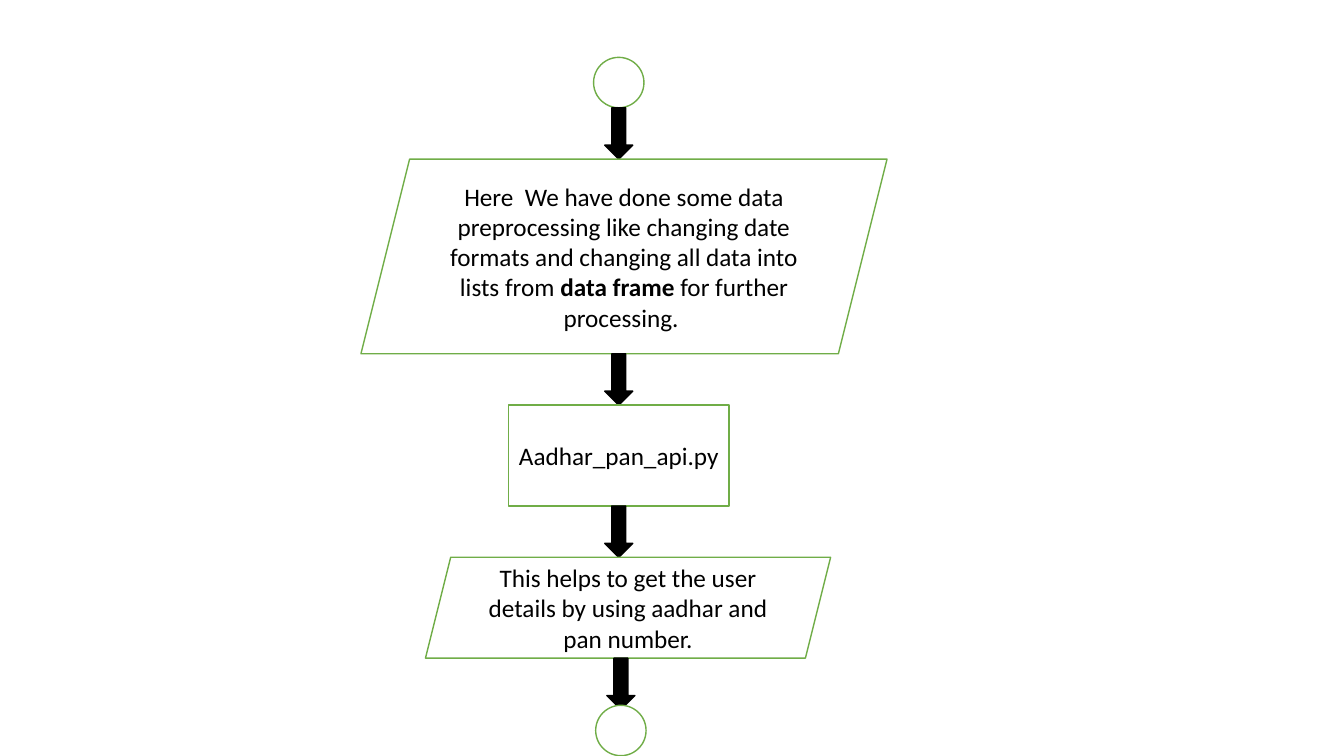
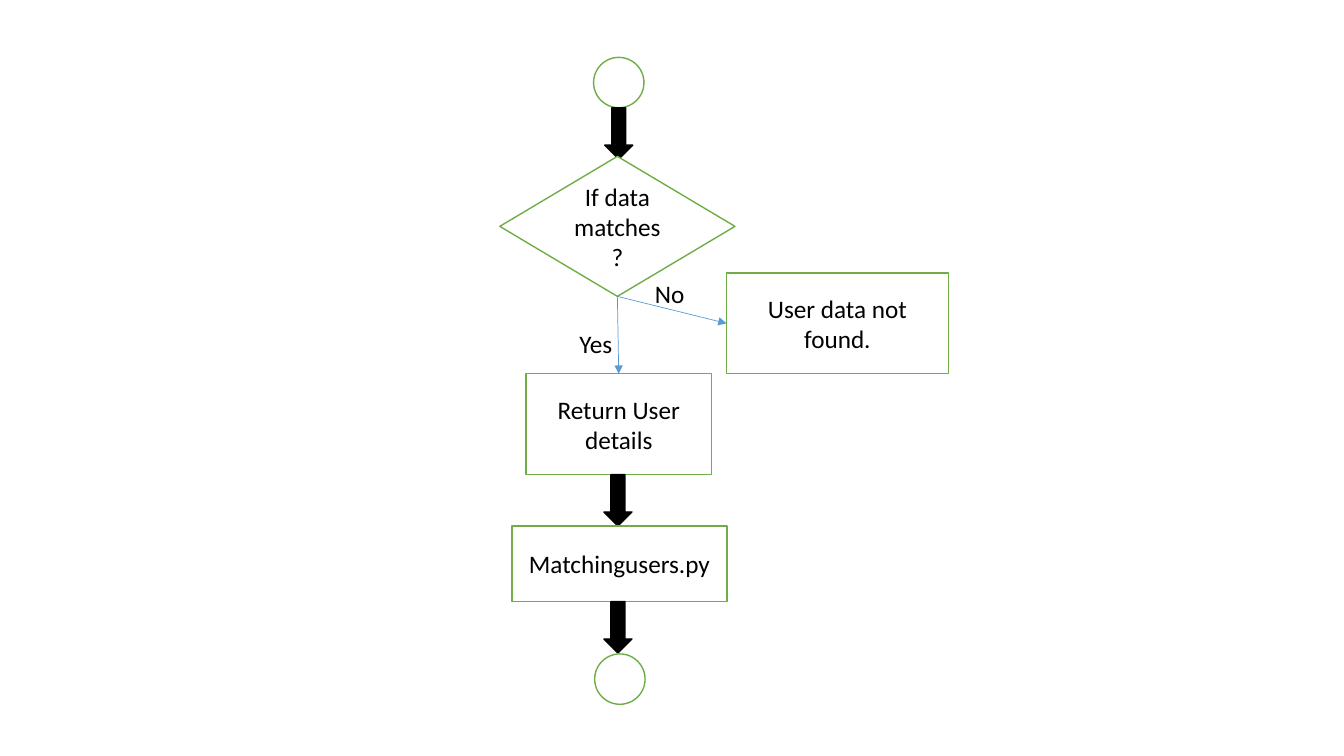
from dataclasses import dataclass
from pptx import Presentation
from pptx.dml.color import RGBColor
from pptx.enum.shapes import MSO_CONNECTOR as Link, MSO_SHAPE as Kind
from pptx.enum.text import MSO_ANCHOR as Anchor, PP_ALIGN as Align
from pptx.oxml.ns import qn
from pptx.util import Pt
from lxml.etree import SubElement

GREEN, BLUE, BLACK, WHITE = "70AD47", "5B9BD5", "000000", "FFFFFF"
FONT, SIZE = "Calibri", 18
MID, TOP, DOT = 442, 41, 36
ARROW_W, ARROW_H = 20, 36.7
NOTE_W, NOTE_H = 44, 29


@dataclass
class Step:
    kind: Kind
    wide: float
    high: float
    text: tuple = ()
    shift: float = 0
    lead: float = 0
    lift: float = 0


def paint(tone, code):
    tone.rgb = RGBColor.from_string(code)


def shape(slide, kind, box, fill, line):
    item = slide.shapes.add_shape(kind, *map(Pt, box))
    item.shadow.inherit = False
    item.fill.solid()
    paint(item.fill.fore_color, fill)
    paint(item.line.color, line)
    item.line.width = Pt(1)
    return item


def write(frame, parts, align):
    para = frame.paragraphs[0]
    para.alignment = align
    para.font.name = FONT
    para.font.size = Pt(SIZE)
    paint(para.font.color, BLACK)
    for i, part in enumerate(parts):
        run = para.add_run()
        run.text = part
        if i % 2:
            run.font.bold = True


def node(slide, kind, box, text=()):
    item = shape(slide, kind, box, WHITE, GREEN)
    frame = item.text_frame
    frame.word_wrap = True
    frame.vertical_anchor = Anchor.MIDDLE
    if text:
        write(frame, text, Align.CENTER)
    return item


def column(slide, mid, top, steps):
    items = []
    for i, step in enumerate(steps):
        if i:
            box = mid + step.lead - ARROW_W / 2, top, ARROW_W, ARROW_H
            shape(slide, Kind.DOWN_ARROW, box, BLACK, BLACK)
            top += ARROW_H - step.lift
        left = mid + step.shift - step.wide / 2
        box = left, top, step.wide, step.high
        items.append(node(slide, step.kind, box, step.text))
        top += step.high
    return items


def branch(slide, start, end, side, label, left, top):
    line = slide.shapes.add_connector(Link.STRAIGHT, 0, 0, 0, 0)
    line.begin_connect(start, 2)
    line.end_connect(end, side)
    paint(line.line.color, BLUE)
    line.line.width = Pt(0.5)
    SubElement(line.line._get_or_add_ln(), qn("a:tailEnd"), type="triangle")
    SubElement(line._element.spPr, qn("a:effectLst"))
    note = slide.shapes.add_textbox(*map(Pt, (left, top, NOTE_W, NOTE_H)))
    note.text_frame.word_wrap = True
    write(note.text_frame, (label,), Align.LEFT)


def dot(**moves):
    return Step(Kind.FLOWCHART_CONNECTOR, DOT, DOT, **moves)


def prepare(slide):
    text = (
        "Here  We have done some data preprocessing like changing date "
        "formats and changing all data into lists from ",
        "data frame ",
        "for further processing. ",
    )
    help_text = "This helps to get the user details by using aadhar and pan number."
    column(slide, MID, TOP, [
        dot(),
        Step(Kind.PARALLELOGRAM, 375.8, 139, text, shift=3.7),
        Step(Kind.RECTANGLE, 157.7, 72, ("Aadhar_pan_api.py",)),
        Step(Kind.PARALLELOGRAM, 289.4, 72, (help_text,), shift=6.6),
        dot(shift=1.5, lead=1.5, lift=3),
    ])


def match(slide):
    test = column(slide, MID, TOP, [
        dot(),
        Step(Kind.DIAMOND, 168, 100, ("If data matches?",), shift=-1, lift=2),
    ])[-1]
    found = column(slide, MID, 267, [
        Step(Kind.RECTANGLE, 132.5, 72, ("Return User details",)),
        Step(Kind.RECTANGLE, 153.4, 54, ("Matchingusers.py",), shift=0.5, lead=-0.6),
        dot(shift=0.8, lead=-0.6, lift=-0.7),
    ])[0]
    lost = node(slide, Kind.RECTANGLE, (519, 195, 158.4, 72), ("User data not found.",))
    branch(slide, test, lost, 1, "No", 460.8, 195)
    branch(slide, test, found, 0, "Yes", 406.8, 231)


deck = Presentation()
deck.slide_width, deck.slide_height = Pt(960), Pt(540)
for draw in (prepare, match):
    draw(deck.slides.add_slide(deck.slide_layouts[6]))
deck.save("out.pptx")
